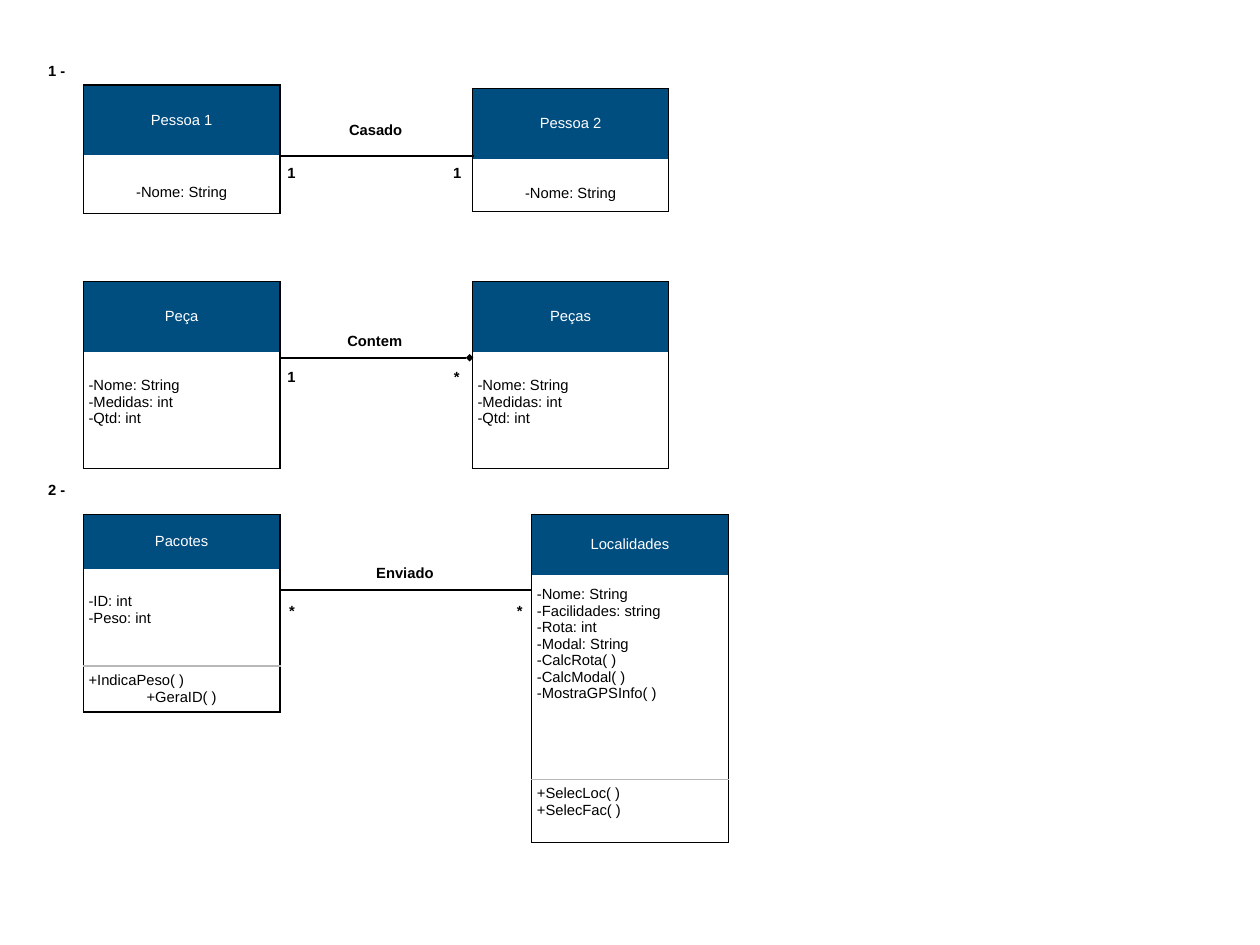
from dataclasses import dataclass
from typing import Any, Optional

from lxml import etree
from pptx import Presentation
from pptx import util as u
from pptx.dml import color
from pptx.enum import shapes, text
from pptx.oxml import ns


@dataclass(frozen=True)
class Theme:
    font: str = "Arial"
    size: int = 12
    ink: str = "000000"
    paper: str = "FFFFFF"
    head: str = "004D80"
    rule: str = "B8B8B8"
    edge: int = 1
    link: int = 2
    inset: float = 0.06


@dataclass(frozen=True)
class Row:
    """Lines of one section; those from index `mid` on are centred."""
    lines: tuple[str, ...]
    high: float
    pad: float
    mid: Optional[int] = None


@dataclass(frozen=True)
class Box:
    name: str
    left: float
    top: float
    head: float
    rows: tuple[Row, ...]


@dataclass(frozen=True)
class Link:
    left: float
    right: float
    y: float
    tip: Optional[str] = None


@dataclass(frozen=True)
class Label:
    words: str
    left: float
    top: float
    wide: float


THEME = Theme()
WIDE = 2.22
COL1, COL2, COL3 = 0.94, 5.33, 6.0
NAME = ("-Nome: String",)
PART = (Row(NAME + ("-Medidas: int", "-Qtd: int"), 1.32, 0.29),)

BOXES = (
    Box("Pessoa 1", COL1, 0.96, 0.79, (Row(NAME, 0.66, 0.33, 0),)),
    Box("Pessoa 2", COL2, 1.0, 0.79, (Row(NAME, 0.6, 0.3, 0),)),
    Box("Peça", COL1, 3.18, 0.79, PART),
    Box("Peças", COL2, 3.18, 0.79, PART),
    Box("Pacotes", COL1, 5.81, 0.61, (
        Row(("-ID: int", "-Peso: int"), 1.1, 0.28),
        Row(("+IndicaPeso( )", "+GeraID( )"), 0.52, 0.07, 1))),
    Box("Localidades", COL3, 5.81, 0.68, (
        Row(NAME + ("-Facilidades: string", "-Rota: int", "-Modal: String",
                    "-CalcRota( )", "-CalcModal( )", "-MostraGPSInfo( )"),
            2.31, 0.13),
        Row(("+SelecLoc( )", "+SelecFac( )"), 0.71, 0.07))),
)
LINKS = (Link(3.15, 5.35, 1.76), Link(3.15, 5.3, 4.04, "diamond"),
         Link(3.15, 6.0, 6.66))
LABELS = (
    Label("1 -", 0.47, 0.64, 0.34), Label("2 -", 0.47, 5.37, 0.34),
    Label("Casado", 3.84, 1.31, 0.8), Label("Contem", 3.83, 3.69, 0.8),
    Label("Enviado", 4.14, 6.31, 0.86),
    Label("1", 3.18, 1.79, 0.22), Label("1", 5.05, 1.79, 0.22),
    Label("1", 3.18, 4.1, 0.22), Label("*", 5.06, 4.1, 0.19),
    Label("*", 3.2, 6.74, 0.19), Label("*", 5.77, 6.74, 0.19),
)


def rgb(code: str) -> color.RGBColor:
    return color.RGBColor.from_string(code)


def style(para: Any, ink: str, bold: bool, centre: bool) -> None:
    font = para.font
    font.name, font.size, font.bold = THEME.font, u.Pt(THEME.size), bold
    font.color.rgb = rgb(ink)
    para.alignment = text.PP_ALIGN.CENTER if centre else text.PP_ALIGN.LEFT


def inset(part: Any) -> None:
    part.margin_left = part.margin_right = u.Inches(THEME.inset)
    part.margin_top = part.margin_bottom = u.Inches(THEME.inset)


def edge(cell: Any, side: str, ink: Optional[str]) -> None:
    """Draw one cell border, or clear it when no colour is given."""
    props = cell._tc.get_or_add_tcPr()
    line = etree.SubElement(props, ns.qn(f"a:ln{side}"), w=str(u.Pt(THEME.edge)))
    if ink is None:
        etree.SubElement(line, ns.qn("a:noFill"))
    else:
        fill = etree.SubElement(line, ns.qn("a:solidFill"))
        etree.SubElement(fill, ns.qn("a:srgbClr"), val=ink)


def frame(cell: Any, top: Optional[str], low: Optional[str], fill: str) -> None:
    for side, ink in zip("LRTB", (THEME.ink, THEME.ink, top, low)):
        edge(cell, side, ink)
    cell.fill.solid()
    cell.fill.fore_color.rgb = rgb(fill)
    inset(cell)


def draw_box(slide: Any, box: Box) -> None:
    highs = [box.head] + [row.high for row in box.rows]
    grid = slide.shapes.add_table(
        len(highs), 1, u.Inches(box.left), u.Inches(box.top),
        u.Inches(WIDE), u.Inches(sum(highs))).table
    grid.first_row = grid.horz_banding = False
    for row, high in zip(grid.rows, highs):
        row.height = u.Inches(high)

    head = grid.cell(0, 0)
    frame(head, THEME.ink, None, THEME.head)
    head.vertical_anchor = text.MSO_ANCHOR.MIDDLE
    head.text = box.name
    style(head.text_frame.paragraphs[0], THEME.paper, False, True)

    for n, row in enumerate(box.rows, 1):
        cell = grid.cell(n, 0)
        frame(cell, None if n == 1 else THEME.rule,
              THEME.ink if n == len(box.rows) else THEME.rule, THEME.paper)
        cell.margin_top = u.Inches(row.pad)
        cell.text = "\n".join(row.lines)
        for i, para in enumerate(cell.text_frame.paragraphs):
            style(para, THEME.ink, False, row.mid is not None and i >= row.mid)


def draw_link(slide: Any, link: Link) -> None:
    wire = slide.shapes.add_connector(
        shapes.MSO_CONNECTOR.STRAIGHT, u.Inches(link.left), u.Inches(link.y),
        u.Inches(link.right), u.Inches(link.y))
    wire.line.width = u.Pt(THEME.link)
    wire.line.color.rgb = rgb(THEME.ink)
    if link.tip:
        etree.SubElement(wire.line._get_or_add_ln(), ns.qn("a:tailEnd"),
                         type=link.tip)
    etree.SubElement(wire._element.spPr, ns.qn("a:effectLst"))


def draw_label(slide: Any, label: Label) -> None:
    area = slide.shapes.add_textbox(
        u.Inches(label.left), u.Inches(label.top),
        u.Inches(label.wide), u.Inches(0.31)).text_frame
    inset(area)
    area.word_wrap = False
    area.auto_size = text.MSO_AUTO_SIZE.SHAPE_TO_FIT_TEXT
    area.vertical_anchor = text.MSO_ANCHOR.MIDDLE
    area.text = label.words
    style(area.paragraphs[0], THEME.ink, True, True)


def main() -> None:
    deck = Presentation()
    deck.slide_width, deck.slide_height = u.Inches(14.22), u.Inches(10.67)
    slide = deck.slides.add_slide(deck.slide_layouts[6])
    for box in BOXES:
        draw_box(slide, box)
    for link in LINKS:
        draw_link(slide, link)
    for label in LABELS:
        draw_label(slide, label)
    deck.save("out.pptx")


if __name__ == "__main__":
    main()
